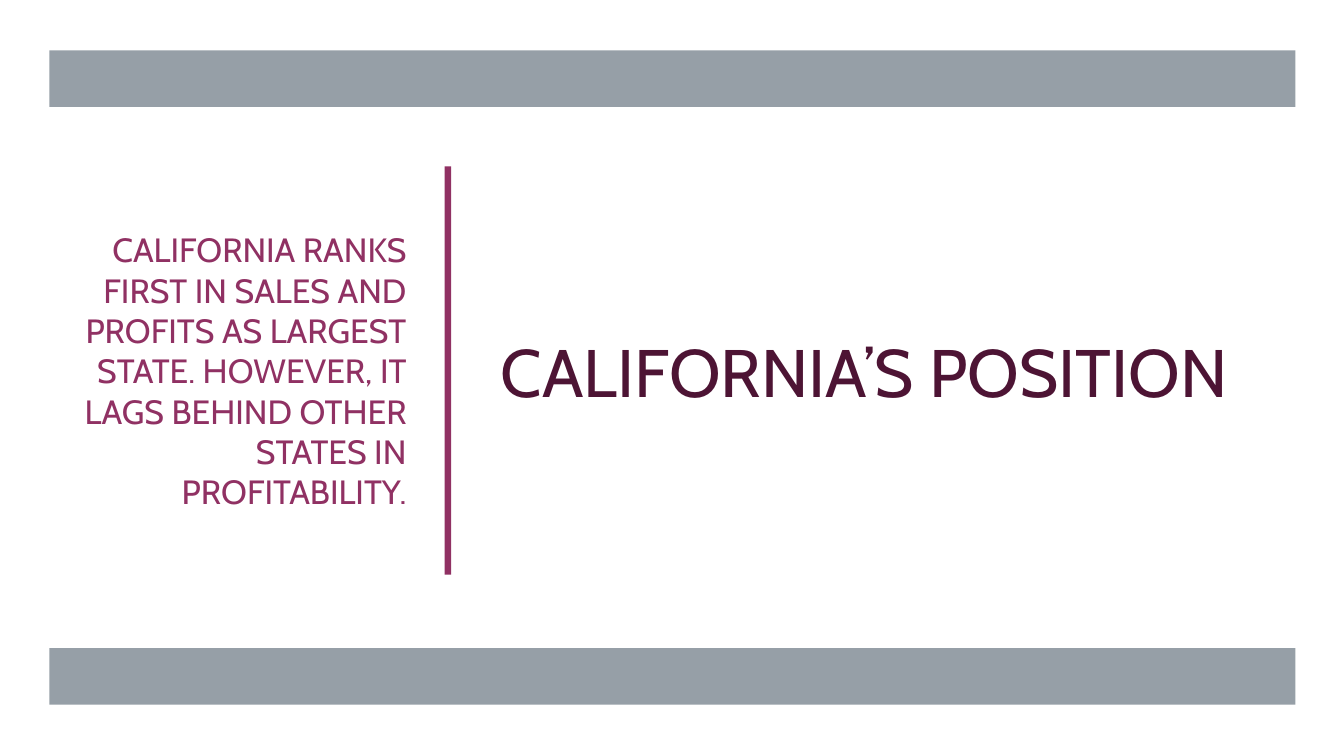
from pptx import Presentation
from pptx.dml.color import RGBColor
from pptx.enum.shapes import MSO_SHAPE
from pptx.enum.text import MSO_ANCHOR, PP_ALIGN
from pptx.util import Inches, Pt

RECT = MSO_SHAPE.RECTANGLE
MIDDLE = MSO_ANCHOR.MIDDLE
LEFT, RIGHT = PP_ALIGN.LEFT, PP_ALIGN.RIGHT

COLORS = {"paper": "FFFFFF", "band": "969FA7", "plum": "903163", "dark": "4D1434"}


class Deck:
    """Hold the style and current slide; lengths are percent of slide size."""

    font = "Cabin"

    def __init__(self):
        self.file = Presentation()
        self.file.slide_width = Inches(13.33)
        self.file.slide_height = Inches(7.5)
        self.slide = self.file.slides.add_slide(self.file.slide_layouts[6])

    def area(self, left, top, width, height):
        wide, high = self.file.slide_width, self.file.slide_height
        shares = ((left, wide), (top, high), (width, wide), (height, high))
        return [round(share * size / 100) for share, size in shares]

    def block(self, color, *box):
        shape = self.slide.shapes.add_shape(RECT, *self.area(*box))
        shape.shadow.inherit = False
        shape.fill.solid()
        shape.fill.fore_color.rgb = RGBColor.from_string(COLORS[color])
        shape.line.fill.background()

    def text(self, words, size, color, align, *box):
        frame = self.slide.shapes.add_textbox(*self.area(*box)).text_frame
        frame.word_wrap = True
        frame.vertical_anchor = MIDDLE
        para = frame.paragraphs[0]
        para.alignment = align
        run = para.add_run()
        run.text = words
        run.font.name = self.font
        run.font.size = Pt(size)
        run.font.color.rgb = RGBColor.from_string(COLORS[color])


def main():
    deck = Deck()
    edge, top, tall = 3.68, 22, 54
    deck.block("paper", 0, 0, 100, 100)
    for level in (6.67, 85.73):
        deck.block("band", edge, level, 92.7, 7.47)
    deck.block("plum", 33.08, top, 0.48, tall)
    deck.text("CALIFORNIA’S POSITION", 48, "dark", LEFT, 36.53, top, 59.85, tall)
    deck.text(
        "CALIFORNIA RANKS FIRST IN SALES AND PROFITS AS LARGEST STATE. "
        "HOWEVER, IT LAGS BEHIND OTHER STATES IN PROFITABILITY.",
        24, "plum", RIGHT, edge, top, 27.3, tall,
    )
    deck.file.save("out.pptx")


if __name__ == "__main__":
    main()
